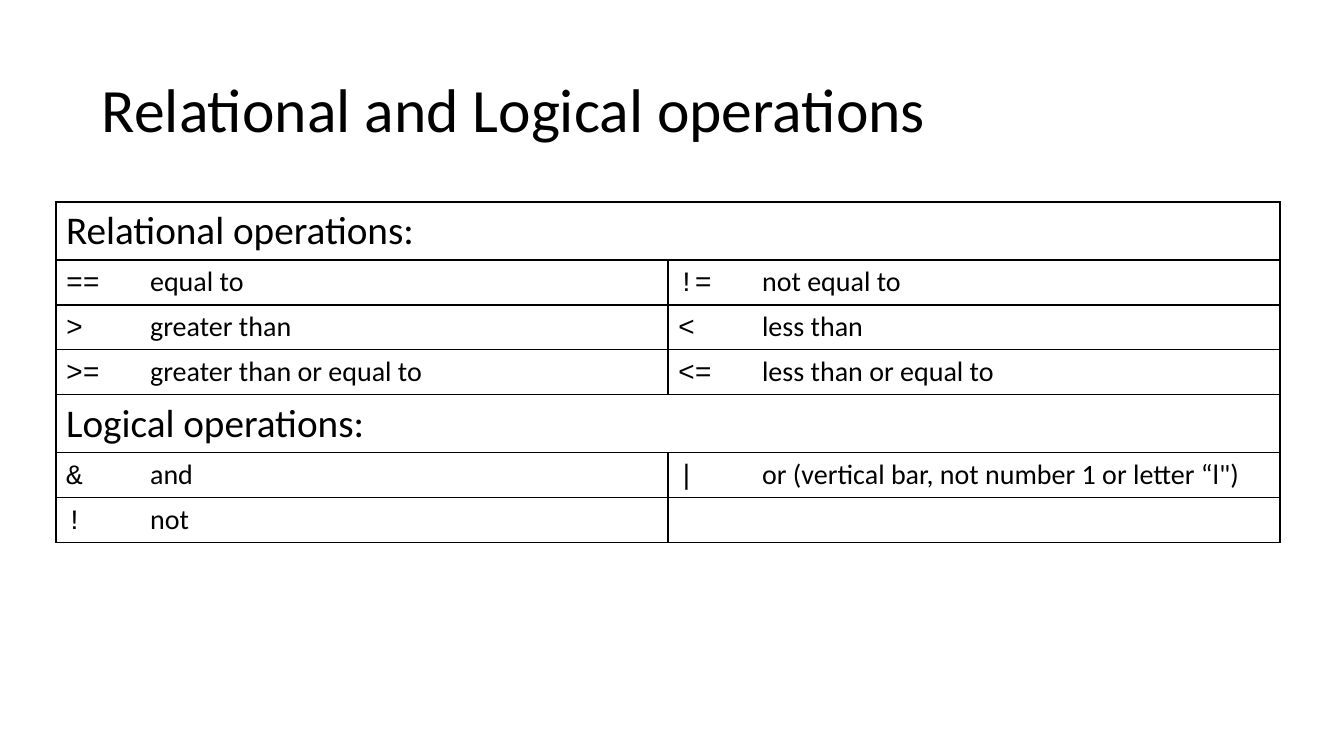
import pptx
import pptx.dml.color
import pptx.enum.text
import pptx.oxml
import pptx.oxml.ns
import pptx.util

# Content: a string is a heading across the table, a list is a row of operators
TITLE = "Relational and Logical operations"
ROWS = [
    "Relational operations:",
    [("==", "equal to"), ("!=", "not equal to")],
    [(">", "greater than"), ("<", "less than")],
    [(">=", "greater than or equal to"), ("<=", "less than or equal to")],
    "Logical operations:",
    [("&", "and"), ("|", "or (vertical bar, not number 1 or letter “l\")")],
    [("!", "not")],
]


class Theme:
    ink = "000000"
    text_font = "Calibri"
    code_font = "Courier New"
    title_size = 44
    heading_size = 28
    body_size = 20
    border_width = 1


# Layout in px
PX = 914400 / 100.8
PAGE_SIZE = (1344, 756)
TITLE_BOX = (92, 40, 1159, 146)
TABLE_LEFT, TABLE_TOP = 56, 202
COLUMN_WIDTH, COLUMN_COUNT = 612, 2
HEADING_HEIGHT, ROW_HEIGHT = 58, 45
MEANING_TAB = 84


def emu(px):
    return pptx.util.Emu(round(px * PX))


def add_text(para, text, *, size, font=Theme.text_font):
    span = para.add_run()
    span.text = text
    span.font.size = pptx.util.Pt(size)
    span.font.name = font
    span.font.color.rgb = pptx.dml.color.RGBColor.from_string(Theme.ink)


def add_tab_stop(para, px):
    namespace = pptx.oxml.ns.nsdecls("a")
    para._p.get_or_add_pPr().append(pptx.oxml.parse_xml(
        f'<a:tabLst {namespace}><a:tab pos="{emu(px)}" algn="l"/></a:tabLst>'))


def add_borders(cell):
    namespace = pptx.oxml.ns.nsdecls("a")
    width = pptx.util.Pt(Theme.border_width)
    properties = cell._tc.get_or_add_tcPr()
    for position, side in enumerate(("lnL", "lnR", "lnT", "lnB")):
        properties.insert(position, pptx.oxml.parse_xml(
            f'<a:{side} {namespace} w="{width}"><a:solidFill>'
            f'<a:srgbClr val="{Theme.ink}"/></a:solidFill></a:{side}>'))


def add_title(page):
    box = page.shapes.add_textbox(*map(emu, TITLE_BOX))
    frame = box.text_frame
    frame.word_wrap = True
    frame.vertical_anchor = pptx.enum.text.MSO_ANCHOR.MIDDLE
    para = frame.paragraphs[0]
    para.line_spacing = 0.9
    add_text(para, TITLE, size=Theme.title_size)


def add_operations(page):
    heights = [HEADING_HEIGHT if isinstance(row, str) else ROW_HEIGHT for row in ROWS]
    table = page.shapes.add_table(
        len(ROWS), COLUMN_COUNT, emu(TABLE_LEFT), emu(TABLE_TOP),
        emu(COLUMN_WIDTH * COLUMN_COUNT), emu(sum(heights))).table
    table.first_row = False
    table.horz_banding = False
    for column in table.columns:
        column.width = emu(COLUMN_WIDTH)

    for index, (row, height) in enumerate(zip(ROWS, heights)):
        table.rows[index].height = emu(height)
        cells = [table.cell(index, column) for column in range(COLUMN_COUNT)]
        for cell in cells:
            cell.fill.background()
            add_borders(cell)

        # Heading row
        if isinstance(row, str):
            cells[0].merge(cells[-1])
            add_text(cells[0].text_frame.paragraphs[0], row, size=Theme.heading_size)
            continue

        # Operator, then its meaning at the tab stop
        for cell, (operator, meaning) in zip(cells, row):
            para = cell.text_frame.paragraphs[0]
            add_tab_stop(para, MEANING_TAB)
            add_text(para, operator + "\t", size=Theme.body_size, font=Theme.code_font)
            add_text(para, meaning, size=Theme.body_size)


def main():
    deck = pptx.Presentation()
    deck.slide_width, deck.slide_height = map(emu, PAGE_SIZE)
    page = deck.slides.add_slide(deck.slide_layouts[6])
    add_title(page)
    add_operations(page)
    deck.save("out.pptx")


if __name__ == "__main__":
    main()
